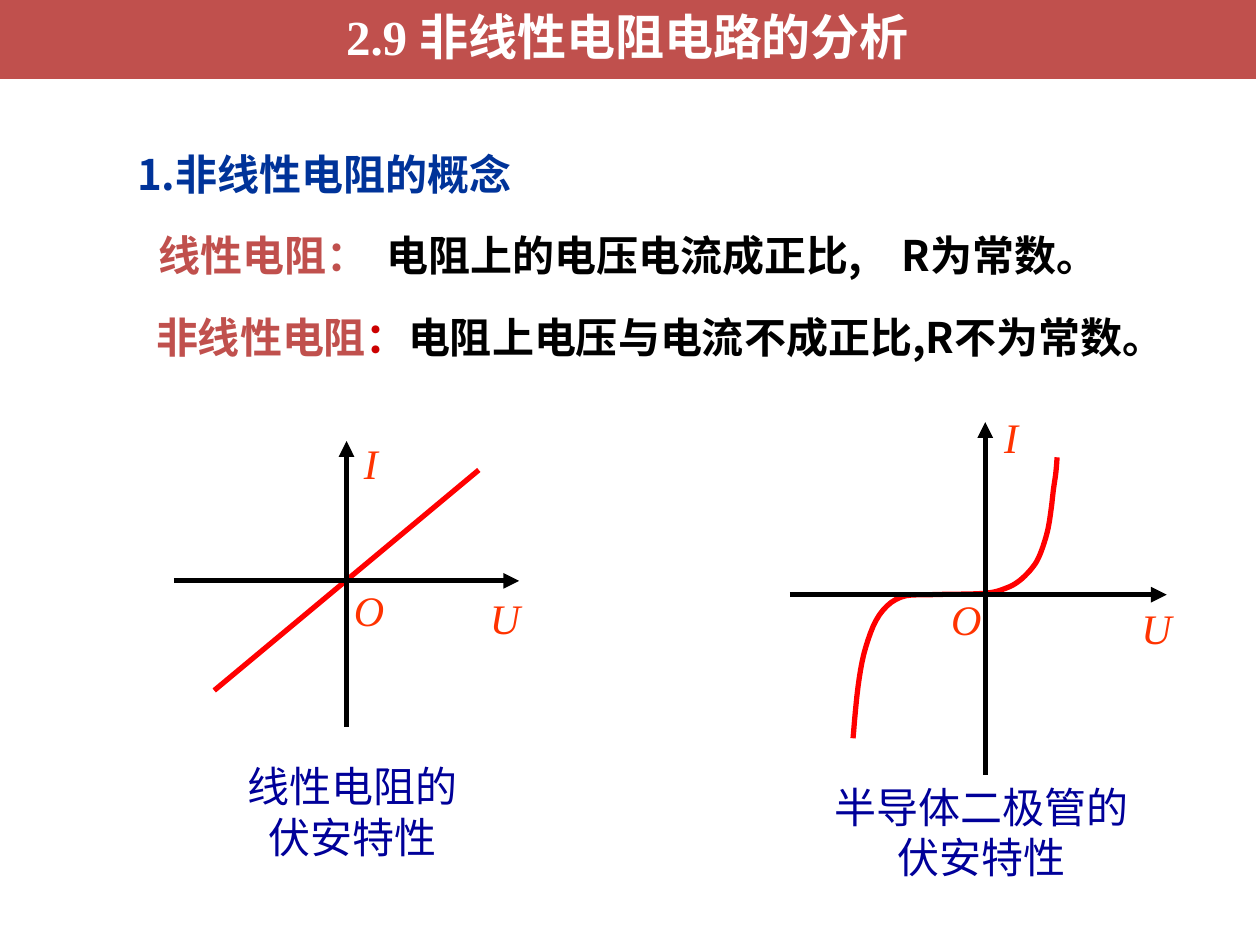
from pptx import Presentation
from pptx.dml.color import RGBColor
from pptx.enum.shapes import MSO_CONNECTOR, MSO_SHAPE
from pptx.enum.text import MSO_ANCHOR, MSO_AUTO_SIZE, PP_ALIGN
from pptx.oxml.ns import qn
from pptx.util import Inches, Pt
from lxml.etree import SubElement

HUES = {"bar": "C0504D", "white": "FFFFFF", "head": "003399", "black": "000000",
        "colon": "CC0000", "curve": "FF0000", "label": "FF3300", "note": "000099"}
HUES = {name: RGBColor.from_string(code) for name, code in HUES.items()}
SANS, SERIF = "Noto Sans CJK SC", "Times New Roman"


def write(shape, lines, size=24, face=SANS, bold=False, italic=False,
          align=None, space=None, wrap=False, tabs=()):
    """Fill a shape; each line is a list of (text, colour) runs."""
    frame = shape.text_frame
    frame.word_wrap = wrap
    for i, runs in enumerate(lines):
        para = frame.paragraphs[0] if i == 0 else frame.add_paragraph()
        para.alignment, para.line_spacing = align, space
        if tabs:
            stops = SubElement(para._p.get_or_add_pPr(), qn("a:tabLst"))
            for pos in tabs:
                SubElement(stops, qn("a:tab"), pos=str(Inches(pos)), algn="l")
        font = para.font
        font.size, font.name, font.bold, font.italic = Pt(size), face, bold, italic
        if len(runs) == 1:
            font.color.rgb = HUES[runs[0][1]]
        SubElement(para._p.pPr.find(qn("a:defRPr")), qn("a:ea"), typeface=SANS)
        for text, hue in runs:
            run = para.add_run()
            run.text = text
            if len(runs) > 1:
                run.font.color.rgb = HUES[hue]


def draw(shapes, start, end, hue, arrow=False):
    """Add a straight 3 pt line, with an arrowhead at its end if asked."""
    line = shapes.add_connector(MSO_CONNECTOR.STRAIGHT, *map(Inches, start + end))
    line.line.color.rgb = HUES[hue]
    line.line.width = Pt(3)
    if arrow:
        SubElement(line.line._get_or_add_ln(), qn("a:tailEnd"), type="triangle")
    SubElement(line._element.spPr, qn("a:effectLst"))


deck = Presentation()
deck.slide_width, deck.slide_height = Inches(10), Inches(7.5)
slide = deck.slides.add_slide(deck.slide_layouts[6])
shapes = slide.shapes

# Title bar
bar = shapes.add_shape(MSO_SHAPE.ROUNDED_RECTANGLE, Inches(-0.04), Inches(-0.03),
                       Inches(10.04), Inches(0.69))
bar.adjustments[0] = 0
bar.shadow.inherit = False
bar.fill.solid()
bar.fill.fore_color.rgb = HUES["bar"]
bar.line.color.rgb = HUES["white"]
bar.line.width = Pt(4.33)
bar.text_frame.vertical_anchor = MSO_ANCHOR.MIDDLE
write(bar, [[("2.9 非线性电阻电路的分析", "white")]], 28, SERIF, bold=True,
      align=PP_ALIGN.CENTER, space=0.9, wrap=True)

# Heading and definitions
texts = [
    ((0.99, 0.97, 4.5, 0.61), 1.4, (), [("1.非线性电阻的概念", "head")]),
    ((1.16, 1.77, 8.73, 0.5), None, (1.81, 5.9),
     [("线性电阻：\t", "bar"), ("电阻上的电压电流成正比,\tR为常数。", "black")]),
    ((1.14, 2.34, 8.74, 0.59), 1.2, (),
     [("非线性电阻", "bar"), ("：", "colon"),
      ("电阻上电压与电流不成正比,R不为常数。", "black")]),
]
for spot, space, tabs, runs in texts:
    box = shapes.add_textbox(*map(Inches, spot))
    write(box, [runs], bold=True, space=space, wrap=True, tabs=tabs)
    box.text_frame.auto_size = MSO_AUTO_SIZE.SHAPE_TO_FIT_TEXT

# Linear characteristic
draw(shapes, (1.7, 5.48), (3.8, 3.73), "curve")

# Diode characteristic: a smooth path through its knots
knots = [(6.77, 5.86), (6.81, 5.45), (6.87, 5.14), (6.98, 4.88), (7.15, 4.74),
         (7.4, 4.72), (7.81, 4.71), (7.98, 4.67), (8.09, 4.61), (8.19, 4.51),
         (8.25, 4.41), (8.31, 4.23), (8.34, 4.06), (8.36, 3.89), (8.38, 3.75),
         (8.39, 3.63)]
ends = [knots[0]] + knots + [knots[-1]]
trace = [tuple(map(Inches, knots[0]))]
for a, b, c, d in zip(ends, ends[1:], ends[2:], ends[3:]):
    for t in (0.2, 0.4, 0.6, 0.8, 1):
        trace.append(tuple(
            Inches(q + t / 2 * (r - p + t * (2 * p - 5 * q + 4 * r - s
                                             + t * (3 * q - p - 3 * r + s))))
            for p, q, r, s in zip(a, b, c, d)))
pen = shapes.build_freeform(*trace[0])
pen.add_line_segments(trace[1:], close=False)
curve = pen.convert_to_shape()
curve.shadow.inherit = False
curve.fill.background()
curve.line.color.rgb = HUES["curve"]
curve.line.width = Pt(3)

# Axes, axis labels and captions
plots = [
    ((1.38, 4.61), (4.12, 4.61), (2.75, 5.77), (2.75, 3.5),
     {"U": (3.79, 4.49), "I": (2.79, 3.26), "O": (2.71, 4.43)},
     "线性电阻的", (1.85, 5.99, 1.89, 0.91)),
    ((6.27, 4.72), (9.26, 4.72), (7.82, 6.15), (7.82, 3.35),
     {"U": (8.96, 4.57), "I": (7.87, 3.06), "O": (7.45, 4.5)},
     "半导体二极管的", (6.51, 6.15, 2.56, 0.91)),
]
for left, right, low, high, labels, part, spot in plots:
    group = shapes.add_group_shape().shapes
    draw(group, left, right, "black", arrow=True)
    draw(group, low, high, "black", arrow=True)
    for name, (x, y) in labels.items():
        wide = 0.31 if name == "I" else 0.45
        box = group.add_textbox(Inches(x), Inches(y), Inches(wide), Inches(0.67))
        write(box, [[(name, "label")]], face=SERIF, italic=True, space=1.4)
    box = group.add_textbox(*map(Inches, spot))
    write(box, [[(part, "note")], [("伏安特性", "note")]], face=SERIF,
          align=PP_ALIGN.CENTER)

deck.save("out.pptx")
